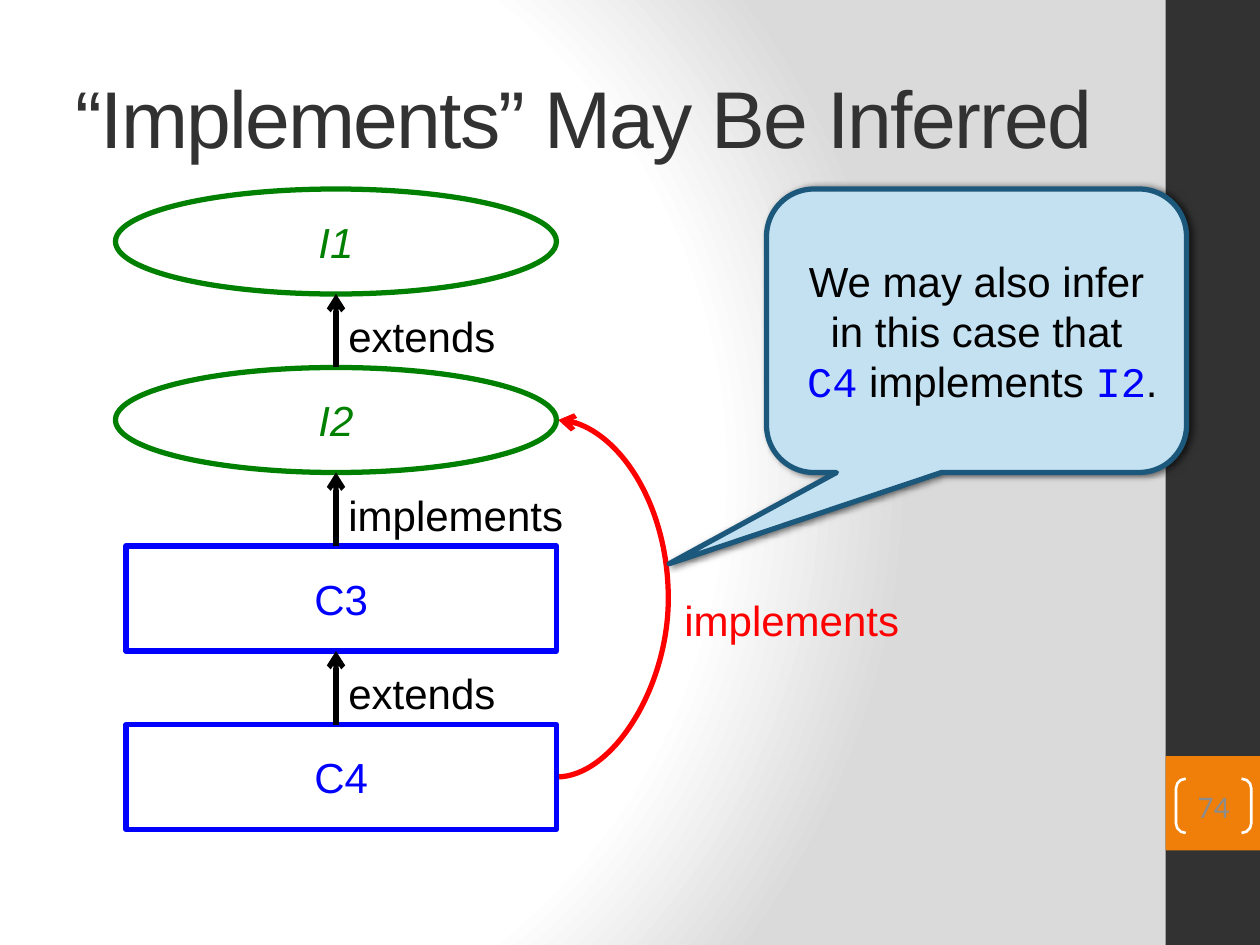
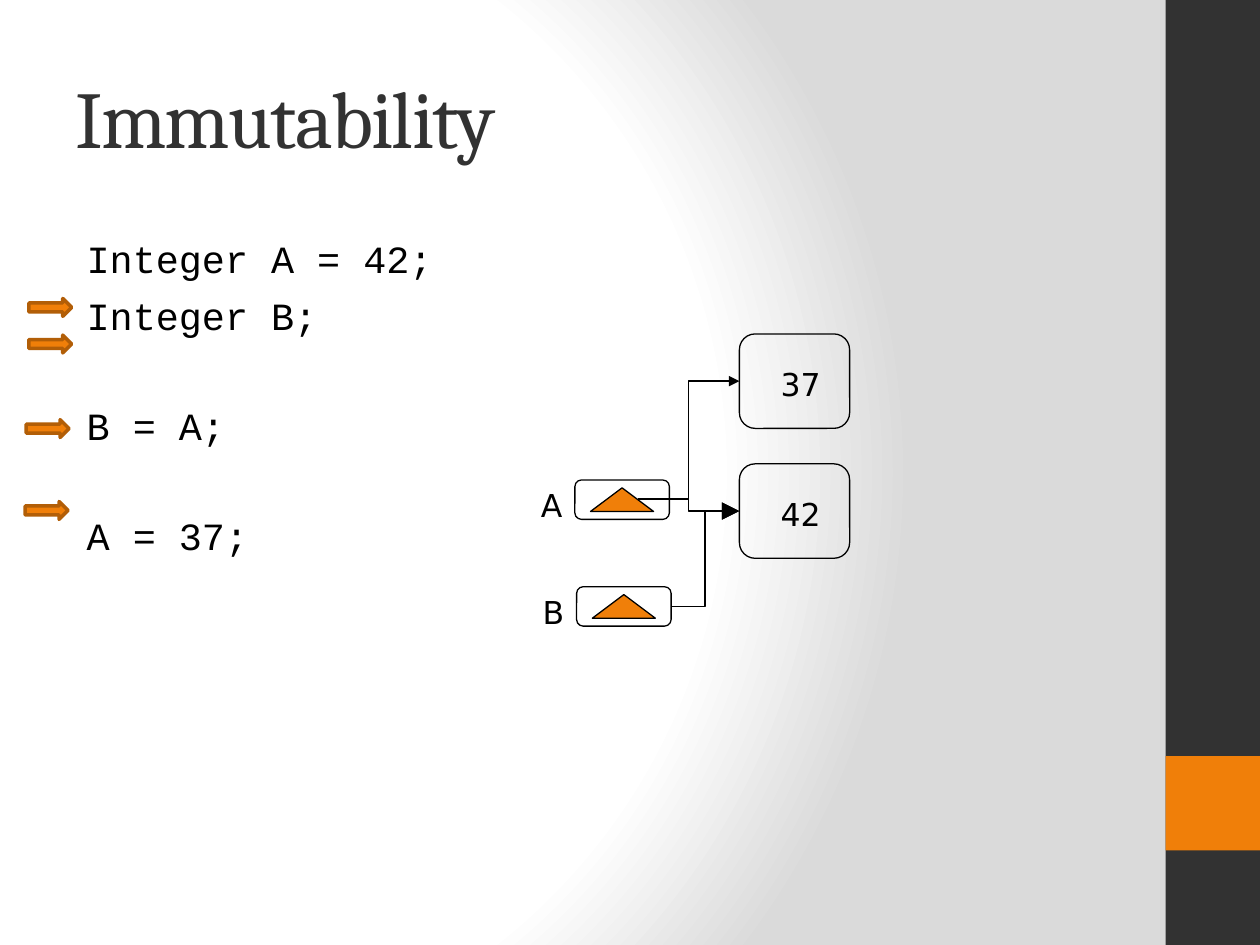
from dataclasses import dataclass

from pptx import Presentation
from pptx.dml.color import RGBColor
from pptx.enum import shapes, text
from pptx.oxml import parse_xml
from pptx.oxml.ns import nsdecls
from pptx.util import Pt

SHAPE = shapes.MSO_SHAPE
LINK = shapes.MSO_CONNECTOR
ALIGN = text.PP_ALIGN
ANCHOR = text.MSO_ANCHOR


@dataclass(frozen=True)
class Theme:
    white: str = "FFFFFF"
    black: str = "000000"
    shade: str = "DADADA"
    dark: str = "323232"
    orange: str = "F07F09"
    orange_edge: str = "B25E07"
    number: str = "8C8C8C"
    interface: str = "008000"
    class_blue: str = "0000FF"
    inferred: str = "FF0000"
    callout: str = "C4E1F2"
    callout_edge: str = "1B587C"
    sans: str = "Arial"
    serif: str = "Cambria"
    mono: str = "Courier New"
    ui: str = "DejaVu Sans"
    footer: str = "Calibri"
    title_size: int = 46
    label_size: int = 24
    code_size: int = 22
    small_size: int = 18
    bold_line: float = 3
    thin_line: float = 0.75


THEME = Theme()


@dataclass(frozen=True)
class Box:
    left: float
    top: float
    width: float
    height: float

    def inner(self, left, top, width, height):
        return Box(self.left + left, self.top + top, width, height)

    def point(self, left, top):
        return self.left + left, self.top + top

    def lengths(self):
        return Pt(self.left), Pt(self.top), Pt(self.width), Pt(self.height)


def colour(value):
    return RGBColor.from_string(value)


def style(span, font, size, ink, italic=False):
    span.font.name = font
    span.font.size = Pt(size)
    span.font.color.rgb = colour(ink)
    if italic:
        span.font.italic = True


def add_shape(page, kind, box, fill=None, line=None, width=THEME.thin_line, adjust=()):
    shape = page.shapes.add_shape(kind, *box.lengths())
    shape.shadow.inherit = False
    if fill:
        shape.fill.solid()
        shape.fill.fore_color.rgb = colour(fill)
    else:
        shape.fill.background()
    if line:
        shape.line.color.rgb = colour(line)
        shape.line.width = Pt(width)
    else:
        shape.line.fill.background()
    for index, value in enumerate(adjust):
        shape.adjustments[index] = value
    return shape


def write_in(shape, words, font, size, ink, italic=False):
    frame = shape.text_frame
    frame.text = words
    frame.vertical_anchor = ANCHOR.MIDDLE
    frame.paragraphs[0].alignment = ALIGN.CENTER
    style(frame.paragraphs[0].runs[0], font, size, ink, italic)
    return frame


def add_label(page, box, words, font, size, ink, align=ALIGN.LEFT):
    frame = page.shapes.add_textbox(*box.lengths()).text_frame
    frame.word_wrap = False
    frame.auto_size = text.MSO_AUTO_SIZE.SHAPE_TO_FIT_TEXT
    frame.text = words
    frame.paragraphs[0].alignment = align
    style(frame.paragraphs[0].runs[0], font, size, ink)


def add_arrow(page, kind, start, end, ink, width, head, size="med"):
    arrow = page.shapes.add_connector(kind, *map(Pt, start + end))
    arrow.line.color.rgb = colour(ink)
    arrow.line.width = Pt(width)
    arrow.line._get_or_add_ln().append(parse_xml(
        f'<a:tailEnd {nsdecls("a")} type="{head}" w="{size}" len="{size}"/>'))
    arrow._element.spPr.append(parse_xml(f'<a:effectLst {nsdecls("a")}/>'))
    return arrow


def add_backdrop(page):
    stops = "".join(
        f'<a:gs pos="{place}000"><a:srgbClr val="{value}"/></a:gs>'
        for place, value in ((0, THEME.white), (75, THEME.white), (100, THEME.shade)))
    page.element.cSld.insert(0, parse_xml(
        f'<p:bg {nsdecls("p", "a")}><p:bgPr><a:gradFill rotWithShape="1">'
        f'<a:gsLst>{stops}</a:gsLst><a:path path="circle">'
        '<a:fillToRect l="20000" t="50000" r="100000" b="50000"/></a:path>'
        '</a:gradFill><a:effectLst/></p:bgPr></p:bg>'))


def add_band(page, box, number=None):
    add_shape(page, SHAPE.RECTANGLE, box, THEME.dark)
    add_shape(page, SHAPE.RECTANGLE, box.inner(0, 432, 54, 54), THEME.orange)
    if number:
        bracket = add_shape(page, SHAPE.DOUBLE_BRACKET, box.inner(6, 445, 43, 31),
                            line=THEME.white, width=1.5, adjust=[0.179])
        frame = write_in(bracket, number, THEME.footer, THEME.small_size, THEME.number)
        frame.margin_left = frame.margin_right = 0
        frame.margin_top = frame.margin_bottom = 0


def add_title(page, box, words, font):
    frame = page.shapes.add_textbox(*box.lengths()).text_frame
    frame.word_wrap = True
    frame.vertical_anchor = ANCHOR.MIDDLE
    frame.text = words
    span = frame.paragraphs[0].runs[0]
    style(span, font, THEME.title_size, THEME.dark)
    span.font._element.set("spc", "-100")


def start_page(deck, title, font, number=None):
    page = deck.slides.add_slide(deck.slide_layouts[6])
    add_backdrop(page)
    add_band(page, Box(666, 0, 54, 540), number)
    add_title(page, Box(36, 21.6, 600, 90), title, font)
    return page


def add_hierarchy(page, box):
    pitch, height, axis = 102, 60, 126
    names = ("I1", "I2", "C3", "C4")
    relations = (("extends", 99), ("implements", 138), ("extends", 99))
    inferred = add_arrow(page, LINK.CURVE, box.point(252, 3 * pitch + height / 2),
                         box.point(253, pitch + height / 2),
                         THEME.inferred, THEME.bold_line, "arrow")
    geometry = inferred._element.spPr.prstGeom
    geometry.get_or_add_avLst().append(parse_xml(
        f'<a:gd {nsdecls("a")} name="adj1" fmla="val 6440000"/>'))
    for row, name in enumerate(names):
        top = row * pitch
        if name.startswith("I"):
            node = add_shape(page, SHAPE.OVAL, box.inner(0, top, 252, height),
                             line=THEME.interface, width=THEME.bold_line)
            write_in(node, name, THEME.sans, THEME.label_size, THEME.interface, True)
        else:
            node = add_shape(page, SHAPE.RECTANGLE, box.inner(6, top, 246, height),
                             THEME.white, THEME.class_blue, THEME.bold_line)
            write_in(node, name, THEME.sans, THEME.label_size, THEME.class_blue)
    for row, (relation, width) in enumerate(relations):
        bottom = row * pitch + height
        add_arrow(page, LINK.STRAIGHT, box.point(axis, (row + 1) * pitch),
                  box.point(axis, bottom), THEME.black, THEME.bold_line, "arrow")
        add_label(page, box.inner(axis, bottom + 6, width, 36), relation,
                  THEME.sans, THEME.label_size, THEME.black)
    add_label(page, box.inner(318, 228, 138, 36), "implements",
              THEME.sans, THEME.label_size, THEME.inferred)


def add_callout(page, box):
    callout = add_shape(page, SHAPE.ROUNDED_RECTANGULAR_CALLOUT, box, THEME.callout,
                        THEME.callout_edge, THEME.bold_line, (-0.732, 0.822, 0.167))
    callout._element.spPr.find(
        "{http://schemas.openxmlformats.org/drawingml/2006/main}effectLst"
    ).append(parse_xml(
        f'<a:outerShdw {nsdecls("a")} blurRad="{Pt(4)}" dist="{Pt(2)}" dir="0">'
        f'<a:srgbClr val="{THEME.black}"><a:alpha val="60000"/></a:srgbClr></a:outerShdw>'))
    frame = write_in(callout, "We may also infer in this case that",
                     THEME.sans, THEME.label_size, THEME.black)
    para = frame.add_paragraph()
    para.alignment = ALIGN.CENTER
    for words in (" ", "C4", " implements ", "I2", "."):
        span = para.add_run()
        span.text = words
        if words in ("C4", "I2"):
            style(span, THEME.mono, THEME.label_size, THEME.class_blue)
        else:
            style(span, THEME.sans, THEME.label_size, THEME.black)


def add_code(page, box):
    frame = page.shapes.add_textbox(*box.lengths()).text_frame
    frame.word_wrap = True
    frame.text = "Integer A = 42;\nInteger B;\nB = A;\nA = 37;"
    for para, gap in zip(frame.paragraphs, (0, 5.8, 36.5, 36.5)):
        para.space_before = Pt(gap)
        style(para.runs[0], THEME.mono, THEME.code_size, THEME.black)


def add_step_arrows(page, box):
    for left, top in ((2.1, 0), (2.1, 20.9), (0.6, 69.2), (0, 116)):
        add_shape(page, SHAPE.RIGHT_ARROW, box.inner(left, top, 24.5, 10.2),
                  THEME.orange, THEME.orange_edge, 2)


def add_variable(page, box, name):
    add_shape(page, SHAPE.ROUNDED_RECTANGLE, box, line=THEME.black, adjust=[0.167])
    add_shape(page, SHAPE.ISOSCELES_TRIANGLE, box.inner(9, 4.5, 36, 13.5),
              THEME.orange, THEME.black)
    add_label(page, box.inner(-27, 0, 27, 29), name,
              THEME.ui, THEME.small_size, THEME.black, ALIGN.RIGHT)


def add_value(page, box, number):
    add_shape(page, SHAPE.ROUNDED_RECTANGLE, box, line=THEME.black, adjust=[0.167])
    add_label(page, box.inner(16.5, 14.4, 37.4, 29), number,
              THEME.ui, THEME.small_size, THEME.black)


def add_memory(page, box):
    add_variable(page, box.inner(26.5, 83.5, 54, 22.5), "A")
    add_variable(page, box.inner(27.5, 144.5, 54, 22.5), "B")
    add_value(page, box.inner(120.5, 0, 63, 54), "37")
    add_value(page, box.inner(120.5, 74.25, 63, 54), "42")
    from_a, from_b = box.point(62.5, 94.5), box.point(81.5, 155.75)
    to_37, to_42 = box.point(120.5, 27), box.point(120.5, 101.25)
    for start, end, width, size in ((from_a, to_42, THEME.thin_line, "lg"),
                                    (from_b, to_42, 1, "lg"),
                                    (from_a, to_37, 1, "med")):
        add_arrow(page, LINK.ELBOW, start, end, THEME.black, width, "triangle", size)


def main():
    deck = Presentation()
    deck.slide_width, deck.slide_height = Pt(720), Pt(540)

    page = start_page(deck, "“Implements” May Be Inferred", THEME.sans, "74")
    add_hierarchy(page, Box(66, 108, 456, 366))
    add_callout(page, Box(438, 108, 240, 162))

    page = start_page(deck, "Immutability", THEME.serif)
    add_code(page, Box(42.5, 131, 593, 373))
    add_step_arrows(page, Box(14.4, 170.6, 27, 126))
    add_memory(page, Box(302, 190.8, 183, 167))

    deck.save("out.pptx")


if __name__ == "__main__":
    main()
